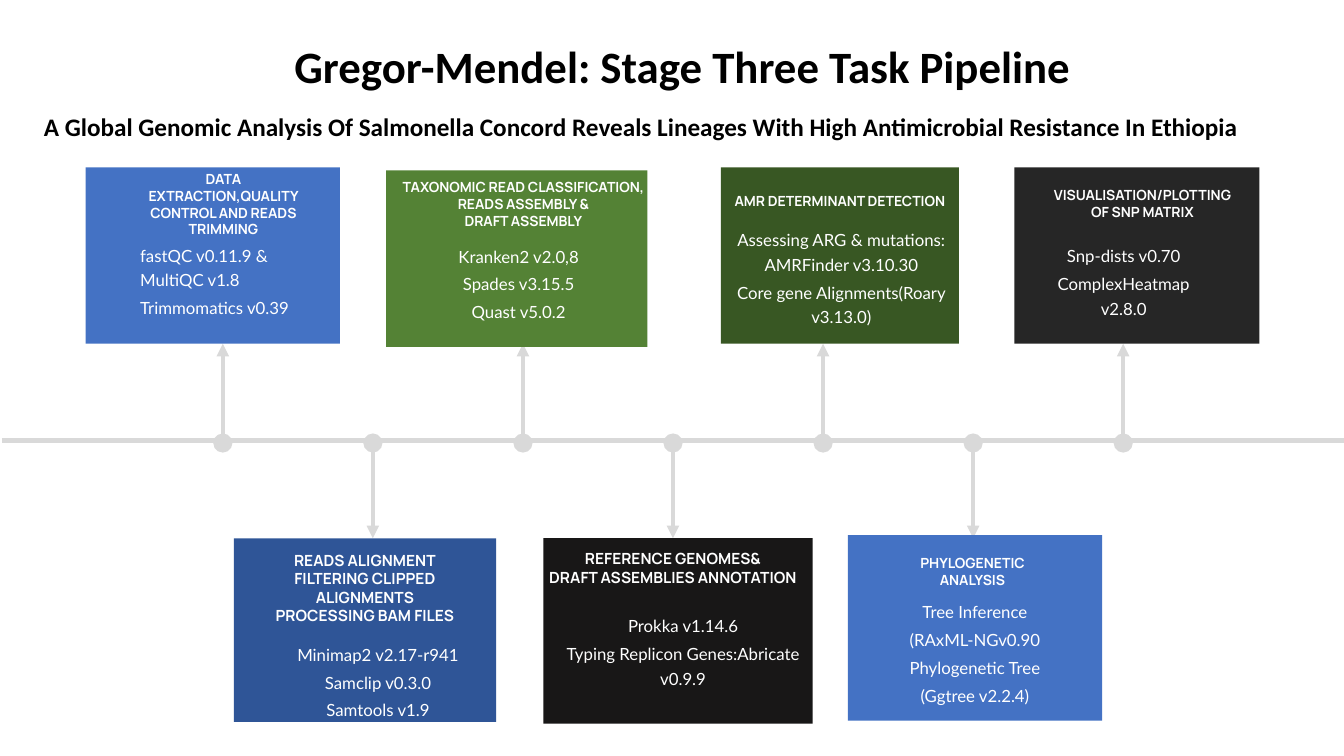
from dataclasses import dataclass

from lxml import etree
from pptx import Presentation
from pptx.dml.color import RGBColor
from pptx.enum.shapes import MSO_CONNECTOR, MSO_SHAPE
from pptx.enum.text import MSO_ANCHOR, MSO_AUTO_SIZE, PP_ALIGN
from pptx.oxml.ns import qn
from pptx.util import Inches, Pt

CENTER, LEFT = PP_ALIGN.CENTER, PP_ALIGN.LEFT
TOP, MIDDLE = MSO_ANCHOR.TOP, MSO_ANCHOR.MIDDLE
PANEL, DOT = MSO_SHAPE.ROUNDED_RECTANGLE, MSO_SHAPE.OVAL
STRAIGHT = MSO_CONNECTOR.STRAIGHT


@dataclass(frozen=True)
class Theme:
    ink: str = "000000"
    light: str = "FFFFFF"
    rail: str = "D9D9D9"
    blue: str = "4472C4"
    navy: str = "2F5597"
    green: str = "548235"
    forest: str = "385723"
    charcoal: str = "262626"
    black: str = "181717"
    title_font: str = "Calibri"
    heading_font: str = "Manrope"
    tool_font: str = "Lato"
    title_size: float = 32
    subtitle_size: float = 18
    heading_size: float = 10
    large_heading_size: float = 11
    tool_size: float = 12
    tool_leading: float = 17.5
    tool_gap: float = 2.4
    rail_width: float = 3


def write_text(frame, lines, *, font, size, color, bold=False, align=CENTER,
               anchor=TOP, wrap=True, margins=(0.1, 0.05), leading=None, gap=0):
    frame.word_wrap = wrap
    frame.auto_size = MSO_AUTO_SIZE.NONE
    frame.vertical_anchor = anchor
    frame.margin_left = frame.margin_right = Inches(margins[0])
    frame.margin_top = frame.margin_bottom = Inches(margins[1])
    for index, line in enumerate(lines):
        para = frame.add_paragraph() if index else frame.paragraphs[0]
        para.alignment = align
        para.space_before = Pt(gap)
        para.line_spacing = Pt(leading) if leading else 1.0
        span = para.add_run()
        span.text = line
        span.font.name = font
        span.font.size = Pt(size)
        span.font.bold = bold
        span.font.color.rgb = RGBColor.from_string(color)


class PipelinePage:
    def __init__(self, deck, theme):
        self.theme = theme
        self.page = deck.slides.add_slide(deck.slide_layouts[0])

    def placeholder(self, index, bounds, text, **style):
        holder = self.page.placeholders[index]
        holder.left, holder.top, holder.width, holder.height = map(Inches, bounds)
        write_text(holder.text_frame, [text], font=self.theme.title_font,
                   color=self.theme.ink, bold=True, **style)

    def shape(self, kind, bounds, color):
        shape = self.page.shapes.add_shape(kind, *map(Inches, bounds))
        shape.shadow.inherit = False
        shape.fill.solid()
        shape.fill.fore_color.rgb = RGBColor.from_string(color)
        shape.line.fill.background()
        return shape

    def panel(self, bounds, color):
        self.shape(PANEL, bounds, color).adjustments[0] = 0

    def line(self, start, end, arrow=False):
        line = self.page.shapes.add_connector(STRAIGHT, *map(Inches, start + end))
        line.line.color.rgb = RGBColor.from_string(self.theme.rail)
        line.line.width = Pt(self.theme.rail_width)
        if arrow:
            outline = line.line._get_or_add_ln()
            etree.SubElement(outline, qn("a:tailEnd"), type="triangle")
        etree.SubElement(line._element.spPr, qn("a:effectLst"))

    def text(self, bounds, lines, **style):
        box = self.page.shapes.add_textbox(*map(Inches, bounds))
        write_text(box.text_frame, lines, color=self.theme.light, **style)

    def heading(self, bounds, lines, size, wrap):
        self.text(bounds, lines, font=self.theme.heading_font, size=size,
                  bold=True, anchor=MIDDLE, wrap=wrap)

    def tools(self, bounds, lines, align):
        self.text(bounds, lines, font=self.theme.tool_font,
                  size=self.theme.tool_size, align=align, margins=(0.05, 0.03),
                  leading=self.theme.tool_leading, gap=self.theme.tool_gap)

    def stage(self, color, panel, heading_at, heading, tools_at, tools,
              size=None, wrap=True, align=CENTER):
        self.panel(panel, color)
        self.heading(heading_at, heading, size or self.theme.heading_size, wrap)
        self.tools(tools_at, tools, align)

    def timeline(self, first, last, count):
        rail_y, upper_y, lower_y, dot = 4.37, 3.41, 5.34, 0.19
        self.line((0.02, rail_y), (13.33, rail_y))
        step = (last - first) / (count - 1)
        for index in range(count):
            x = first + index * step
            self.line((x, rail_y), (x, lower_y if index % 2 else upper_y), arrow=True)
            self.shape(DOT, (x - dot / 2, 4.3, dot, dot), self.theme.rail)


def main():
    deck = Presentation()
    deck.slide_width, deck.slide_height = Inches(13.33), Inches(7.5)
    theme = Theme()
    page = PipelinePage(deck, theme)

    page.placeholder(0, (0.45, 0.33, 12.64, 0.64),
                     "Gregor-Mendel: Stage Three Task Pipeline", size=theme.title_size)
    page.placeholder(1, (0.29, 1.05, 12.14, 0.4),
                     "A Global Genomic Analysis Of Salmonella Concord Reveals Lineages "
                     "With High Antimicrobial Resistance In Ethiopia",
                     size=theme.subtitle_size, wrap=False)
    page.timeline(2.21, 11.14, 7)

    page.stage(theme.blue, (0.85, 1.66, 2.52, 1.75),
               (1.34, 1.64, 1.75, 0.77),
               ["DATA EXTRACTION,QUALITY CONTROL AND READS TRIMMING"],
               (1.34, 2.36, 1.75, 0.82),
               ["fastQC v0.11.9 & MultiQC v1.8", "Trimmomatics v0.39"], align=LEFT)
    page.stage(theme.navy, (2.32, 5.34, 2.6, 1.82),
               (2.32, 5.41, 2.6, 0.84),
               ["READS ALIGNMENT", "FILTERING CLIPPED ALIGNMENTS", "PROCESSING BAM FILES"],
               (2.81, 6.32, 1.88, 0.86),
               ["Minimap2 v2.17-r941", "Samclip v0.3.0", "Samtools v1.9"],
               size=theme.large_heading_size)
    page.stage(theme.green, (3.83, 1.69, 2.59, 1.75),
               (3.83, 1.72, 2.72, 0.61),
               ["TAXONOMIC READ CLASSIFICATION,", "READS ASSEMBLY &", "DRAFT ASSEMBLY"],
               (4.33, 2.37, 1.63, 1.15),
               ["Kranken2 v2.0,8", "Spades v3.15.5", "Quast v5.0.2"], wrap=False)
    page.stage(theme.black, (5.39, 5.34, 2.67, 1.84),
               (5.29, 5.4, 2.77, 0.47),
               ["REFERENCE GENOMES&", "DRAFT ASSEMBLIES ANNOTATION"],
               (5.39, 6.04, 2.77, 1.11),
               ["Prokka v1.14.6", "Typing Replicon Genes:Abricate v0.9.9"],
               size=theme.large_heading_size)
    page.stage(theme.forest, (7.15, 1.66, 2.36, 1.75),
               (7.15, 1.86, 2.36, 0.27), ["AMR DETERMINANT DETECTION"],
               (7.18, 2.21, 2.33, 1.07),
               ["Assessing ARG & mutations: AMRFinder v3.10.30",
                "Core gene Alignments(Roary v3.13.0)"])
    page.stage(theme.blue, (8.41, 5.31, 2.52, 1.84),
               (8.77, 5.45, 1.75, 0.44), ["PHYLOGENETIC ANALYSIS"],
               (8.54, 5.9, 2.26, 1.15),
               ["Tree Inference", "(RAxML-NGv0.90", "Phylogenetic Tree", "(Ggtree v2.2.4)"])
    page.stage(theme.charcoal, (10.06, 1.66, 2.43, 1.75),
               (10.27, 1.8, 2.12, 0.44), ["VISUALISATION/PLOTTING OF SNP MATRIX"],
               (10.2, 2.37, 1.89, 0.57),
               ["Snp-dists v0.70", "ComplexHeatmap v2.8.0"])

    deck.save("out.pptx")


if __name__ == "__main__":
    main()
